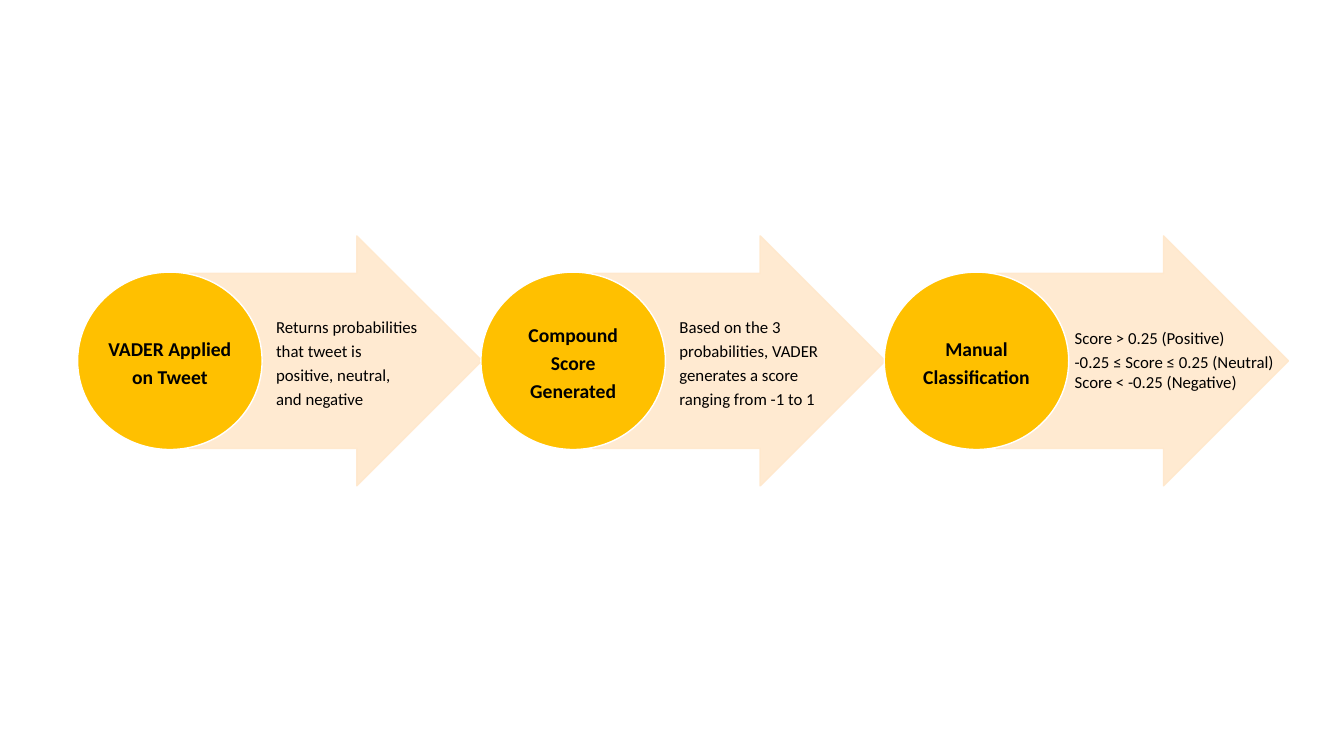
from lxml.etree import SubElement
from pptx import Presentation
from pptx.dml.color import RGBColor
from pptx.enum.shapes import MSO_SHAPE
from pptx.enum.text import MSO_ANCHOR, MSO_AUTO_SIZE, PP_ALIGN
from pptx.oxml.ns import qn
from pptx.util import Pt

PX = 9144  # EMU, so that 100 px make one inch
LEFT, PITCH = 77, 400
LOOSE = 1.2

BLACK = RGBColor(0, 0, 0)
WHITE = RGBColor(255, 255, 255)
CREAM = RGBColor(0xFF, 0xE8, 0xCC)
GOLD = RGBColor(0xFF, 0xC0, 0x00)

# Title, then body lines with spacing, then body offset, top, width, height
STEPS = [
    ("VADER Applied on Tweet",
     [("Returns probabilities that tweet is positive, neutral, and negative", LOOSE)],
     (187, 305, 160, 105)),
    ("Compound Score Generated",
     [("Based on the 3 probabilities, VADER generates a score ranging from -1 to 1", LOOSE)],
     (187, 305, 160, 105)),
    ("Manual Classification",
     [("Score > 0.25 (Positive)", None),
      ("-0.25 ≤ Score ≤ 0.25 (Neutral)", LOOSE),
      ("Score < -0.25 (Negative)", None)],
     (179, 320, 221, 75)),
]


def scale(*lengths):
    return [length * PX for length in lengths]


def add_form(slide, kind, box, fill, line):
    form = slide.shapes.add_shape(kind, *scale(*box))
    form.shadow.inherit = False
    form.fill.solid()
    form.fill.fore_color.rgb = fill
    form.line.color.rgb = line
    form.line.width = Pt(1)
    return form


def add_arrow(slide, left):
    """Add a block arrow whose fill and line are 90 % opaque."""
    arrow = add_form(slide, MSO_SHAPE.RIGHT_ARROW, (left, 234, 290, 248), CREAM, CREAM)
    arrow.adjustments[0] = 0.7
    arrow.adjustments[1] = 0.5
    for color in arrow._element.spPr.iter(qn("a:srgbClr")):
        SubElement(color, qn("a:alpha")).set("val", "90000")


def add_text(slide, box, lines, size, bold=False, align=PP_ALIGN.LEFT):
    frame = slide.shapes.add_textbox(*scale(*box)).text_frame
    frame.word_wrap = True
    frame.text = "\n".join(text for text, _ in lines)
    for para, (_, space) in zip(frame.paragraphs, lines):
        para.alignment = align
        para.line_spacing = space
        for run in para.runs:
            run.font.name = "Calibri"
            run.font.size = Pt(size)
            run.font.bold = bold
            run.font.color.rgb = BLACK
    return frame


def add_title(slide, left, title):
    frame = add_text(slide, (left, 295, 129, 125), [(title, LOOSE)], 14, True, PP_ALIGN.CENTER)
    frame.vertical_anchor = MSO_ANCHOR.MIDDLE
    frame.margin_left = frame.margin_right = PX
    frame.margin_top = frame.margin_bottom = PX


def add_step(slide, left, title, lines, body):
    shift, top, width, height = body
    add_arrow(slide, left + 111)
    add_form(slide, MSO_SHAPE.OVAL, (left, 270, 183, 176), GOLD, WHITE)
    add_title(slide, left + 27, title)
    frame = add_text(slide, (left + shift, top, width, height), lines, 12)
    frame.auto_size = MSO_AUTO_SIZE.SHAPE_TO_FIT_TEXT


def main():
    deck = Presentation()
    deck.slide_width, deck.slide_height = scale(1333, 750)
    slide = deck.slides.add_slide(deck.slide_layouts[6])
    for index, step in enumerate(STEPS):
        add_step(slide, LEFT + index * PITCH, *step)
    deck.save("out.pptx")


if __name__ == "__main__":
    main()
